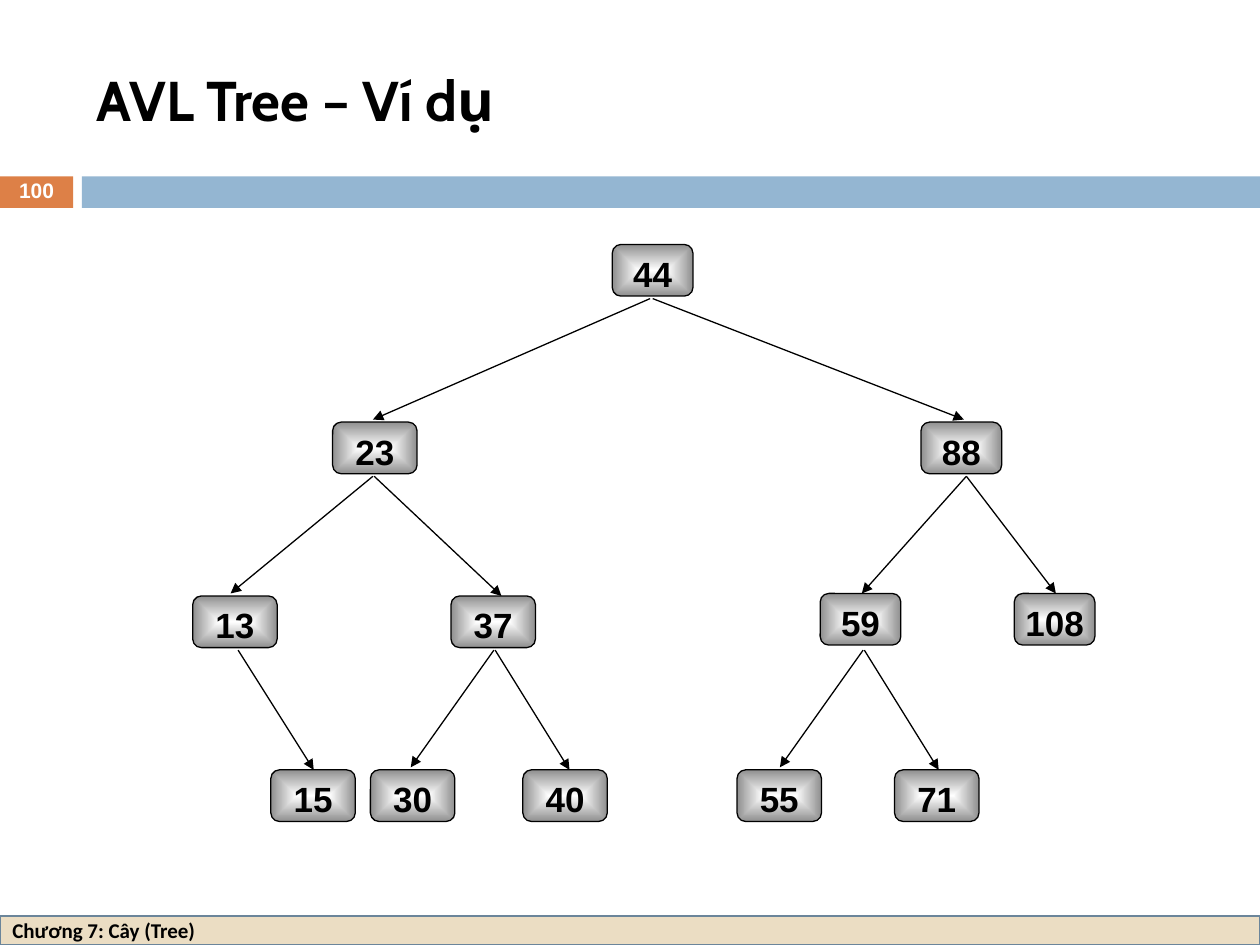
"""Build the AVL tree example slide."""
from lxml.etree import SubElement
from pptx import Presentation
from pptx.dml.color import RGBColor
from pptx.enum.shapes import MSO_CONNECTOR, MSO_SHAPE
from pptx.enum.text import MSO_ANCHOR, PP_ALIGN
from pptx.oxml.ns import qn
from pptx.util import Inches, Pt

COLORS = {
    "orange": "DD8047", "blue": "94B6D2", "sand": "EBDDC3", "slate": "6B859A",
    "black": "000000", "white": "FFFFFF", "gray": "8F8F8F",
}
RGB = {name: RGBColor.from_string(value) for name, value in COLORS.items()}


def add_text(shape, text, size, font="Arial", color="black", align=PP_ALIGN.LEFT,
             anchor=MSO_ANCHOR.MIDDLE, spacing=1.0, margins=(0.1, 0.05)):
    frame = shape.text_frame
    frame.word_wrap = True
    frame.vertical_anchor = anchor
    frame.margin_left = frame.margin_right = Inches(margins[0])
    frame.margin_top = frame.margin_bottom = Inches(margins[1])
    paragraph = frame.paragraphs[0]
    paragraph.alignment = align
    paragraph.line_spacing = spacing
    run = paragraph.add_run()
    run.text = text
    run.font.size = Pt(size)
    run.font.name = font
    run.font.bold = True
    run.font.color.rgb = RGB[color]


def add_box(kind, left, top, width, height, fill=None, line=None, line_width=0.74):
    shape = slide.shapes.add_shape(
        kind, Inches(left), Inches(top), Inches(width), Inches(height))
    shape.shadow.inherit = False
    if fill:
        shape.fill.solid()
        shape.fill.fore_color.rgb = RGB[fill]
    if line:
        shape.line.color.rgb = RGB[line]
        shape.line.width = Pt(line_width)
    else:
        shape.line.fill.background()
    return shape


presentation = Presentation()
presentation.slide_width = Inches(10)
presentation.slide_height = Inches(7.5)
slide = presentation.slides.add_slide(presentation.slide_layouts[6])

add_box(MSO_SHAPE.RECTANGLE, 0, 1.4, 0.58, 0.25, "orange")
add_box(MSO_SHAPE.RECTANGLE, 0.65, 1.4, 9.35, 0.25, "blue")
footer = add_box(MSO_SHAPE.RECTANGLE, 0, 7.27, 10, 0.23, "sand", "slate", 1.5)
add_text(footer, "Chương 7: Cây (Tree)", 12, font="Calibri")

title = slide.shapes.add_textbox(Inches(0.67), Inches(0.25), Inches(8.92), Inches(1.08))
add_text(title, "AVL Tree – Ví dụ", 32, font="Cabin")
number = slide.shapes.add_textbox(Inches(0), Inches(1.39), Inches(0.58), Inches(0.27))
add_text(number, "100", 12, color="white", align=PP_ALIGN.CENTER, spacing=0.8)

edges_by_top = {
    2.37: [(5.16, 2.96, 3.33), (5.18, 7.65, 3.33)],
    3.78: [(2.96, 1.83, 4.71), (2.97, 3.98, 4.73), (7.67, 6.84, 4.71), (7.67, 8.38, 4.71)],
    5.16: [(1.89, 2.49, 6.11), (3.92, 3.26, 6.09), (3.93, 4.52, 6.11),
           (6.85, 6.19, 6.09), (6.86, 7.45, 6.11)],
}
for start_y, edges in edges_by_top.items():
    for start_x, end_x, end_y in edges:
        arrow = slide.shapes.add_connector(
            MSO_CONNECTOR.STRAIGHT, Inches(start_x), Inches(start_y),
            Inches(end_x), Inches(end_y))
        arrow.line.color.rgb = RGB["black"]
        arrow.line.width = Pt(0.74)
        SubElement(arrow.line._get_or_add_ln(), qn("a:tailEnd"), type="triangle")
        SubElement(arrow._element.spPr, qn("a:effectLst"))

WIDE, NARROW = 0.67, 0.64
nodes = [
    ("44", 4.86, 1.94, NARROW),
    ("23", 2.64, 3.35, WIDE), ("88", 7.31, 3.35, NARROW),
    ("13", 1.53, 4.73, WIDE), ("37", 3.58, 4.73, WIDE),
    ("59", 6.51, 4.71, NARROW), ("108", 8.05, 4.71, NARROW),
    ("15", 2.15, 6.11, WIDE), ("30", 2.94, 6.11, WIDE), ("40", 4.15, 6.11, WIDE),
    ("55", 5.85, 6.11, WIDE), ("71", 7.1, 6.11, WIDE),
]
for key, left, top, width in nodes:
    node = add_box(MSO_SHAPE.ROUNDED_RECTANGLE, left, top, width, 0.41, line="black")
    node.fill.gradient()
    for stop, position, color in zip(node.fill.gradient_stops, (0, 1), ("white", "gray")):
        stop.position = position
        stop.color.rgb = RGB[color]
    gradient = node._element.spPr.find(qn("a:gradFill"))
    gradient.remove(gradient.find(qn("a:lin")))
    radial = SubElement(gradient, qn("a:path"), path="rect")
    SubElement(radial, qn("a:fillToRect"), l="50000", t="50000", r="50000", b="50000")
    add_text(node, key, 20, align=PP_ALIGN.CENTER, anchor=MSO_ANCHOR.TOP,
             spacing=1.13, margins=(0, 0))

presentation.save("out.pptx")
